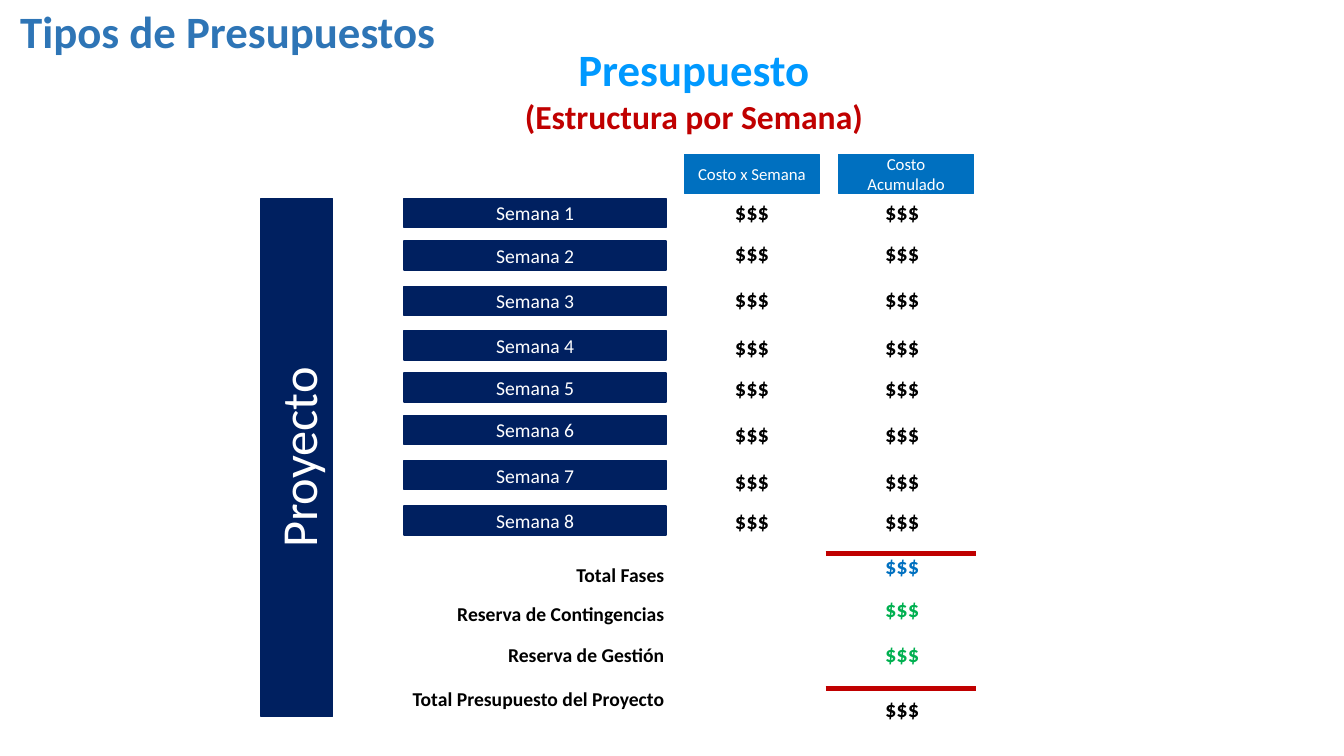
from pptx import Presentation
from pptx.dml.color import RGBColor
from pptx.enum.shapes import MSO_CONNECTOR, MSO_SHAPE
from pptx.enum.text import MSO_ANCHOR, MSO_AUTO_SIZE, PP_ALIGN
from pptx.util import Pt
from lxml.etree import SubElement
from pptx.oxml.ns import qn

COLORS = {
    "title": "2E75B6", "sky": "0099FF", "red": "C00000", "navy": "002060",
    "blue": "0070C0", "green": "00B050", "black": "000000", "white": "FFFFFF",
}


def color(name):
    return RGBColor.from_string(COLORS[name])


def write(text, box, size=16, ink="black", bold=True, align=PP_ALIGN.CENTER,
          anchor=MSO_ANCHOR.TOP, fill=None, shape=None, more=False):
    """Write one paragraph into a shape, a new filled bar or a new text box."""
    if shape is None:
        area = [Pt(n) for n in box]
        if fill:
            shape = slide.shapes.add_shape(MSO_SHAPE.RECTANGLE, *area)
            shape.shadow.inherit = False
            shape.fill.solid()
            shape.fill.fore_color.rgb = color(fill)
            shape.line.color.rgb = color(fill)
            shape.line.width = Pt(1)
        else:
            shape = slide.shapes.add_textbox(*area)
    frame = shape.text_frame
    frame.word_wrap = True
    frame.auto_size = MSO_AUTO_SIZE.NONE
    frame.vertical_anchor = anchor
    para = frame.add_paragraph() if more else frame.paragraphs[0]
    para.alignment = align
    run = para.add_run()
    run.text = text
    font = run.font
    font.name, font.size, font.bold = "Calibri", Pt(size), bold
    font.color.rgb = color(ink)
    return shape


deck = Presentation()
deck.slide_width, deck.slide_height = Pt(960), Pt(540)
slide = deck.slides.add_slide(deck.slide_layouts[5])

# Title
title = slide.shapes.title
title.left, title.top, title.width, title.height = Pt(7.2), Pt(-0.7), Pt(693.4), Pt(46)
write("Tipos de Presupuestos", None, size=32, ink="title",
      align=PP_ALIGN.LEFT, shape=title)

# Heading in two lines
head = write("Presupuesto", (237.6, 26.6, 516.2, 74.9), size=32, ink="sky")
write("(Estructura por Semana)", None, size=24, ink="red", shape=head, more=True)

# Project bar, read upwards
bar = {"bold": False, "ink": "white", "anchor": MSO_ANCHOR.MIDDLE}
side = write("Proyecto", (186.5, 141.8, 51.1, 370.1), size=36, fill="navy", **bar)
side.text_frame._txBody.bodyPr.set("vert", "vert270")

# Column heads
for name, left in (("Costo x Semana", 488.9), ("Costo Acumulado", 599)):
    write(name, (left, 110.2, 96.5, 28.1), size=12, fill="blue", **bar)

# Weeks: top of the bar and top of its costs
WEEK, TOTAL = 493.2, 600.5
rows = [(141.8, 138.2), (172.1, 167), (204.5, 200.2), (236.2, 234.7),
        (266.4, 263.5), (296.6, 296.6), (329, 330.5), (361.4, 358.6)]
for week, (top, cost) in enumerate(rows, 1):
    write(f"Semana {week}", (288.7, top, 187.2, 20.9), size=14, fill="navy", **bar)
    for left in (WEEK, TOTAL):
        write("$$$", (left, cost, 87.8, 26.6))

# Totals and reserves
totals = [("Total Fases", 398.9, 391, "blue"),
          ("Reserva de Contingencias", 426.2, 421.9, "green"),
          ("Reserva de Gestión", 455.8, 453.6, "green"),
          ("Total Presupuesto del Proyecto", 487.4, 493.2, "black")]
for name, top, cost, ink in totals:
    write(name, (68.4, top, 413.3, 24.5), size=14, align=PP_ALIGN.RIGHT)
    write("$$$", (TOTAL, cost, 87.8, 26.6), ink=ink)

# Sum rules
for y in (395.3, 491.8):
    rule = slide.shapes.add_connector(
        MSO_CONNECTOR.STRAIGHT, Pt(589.7), Pt(y), Pt(697), Pt(y))
    rule.line.color.rgb = color("red")
    rule.line.width = Pt(3)
    SubElement(rule._element.spPr, qn("a:effectLst"))

deck.save("out.pptx")
